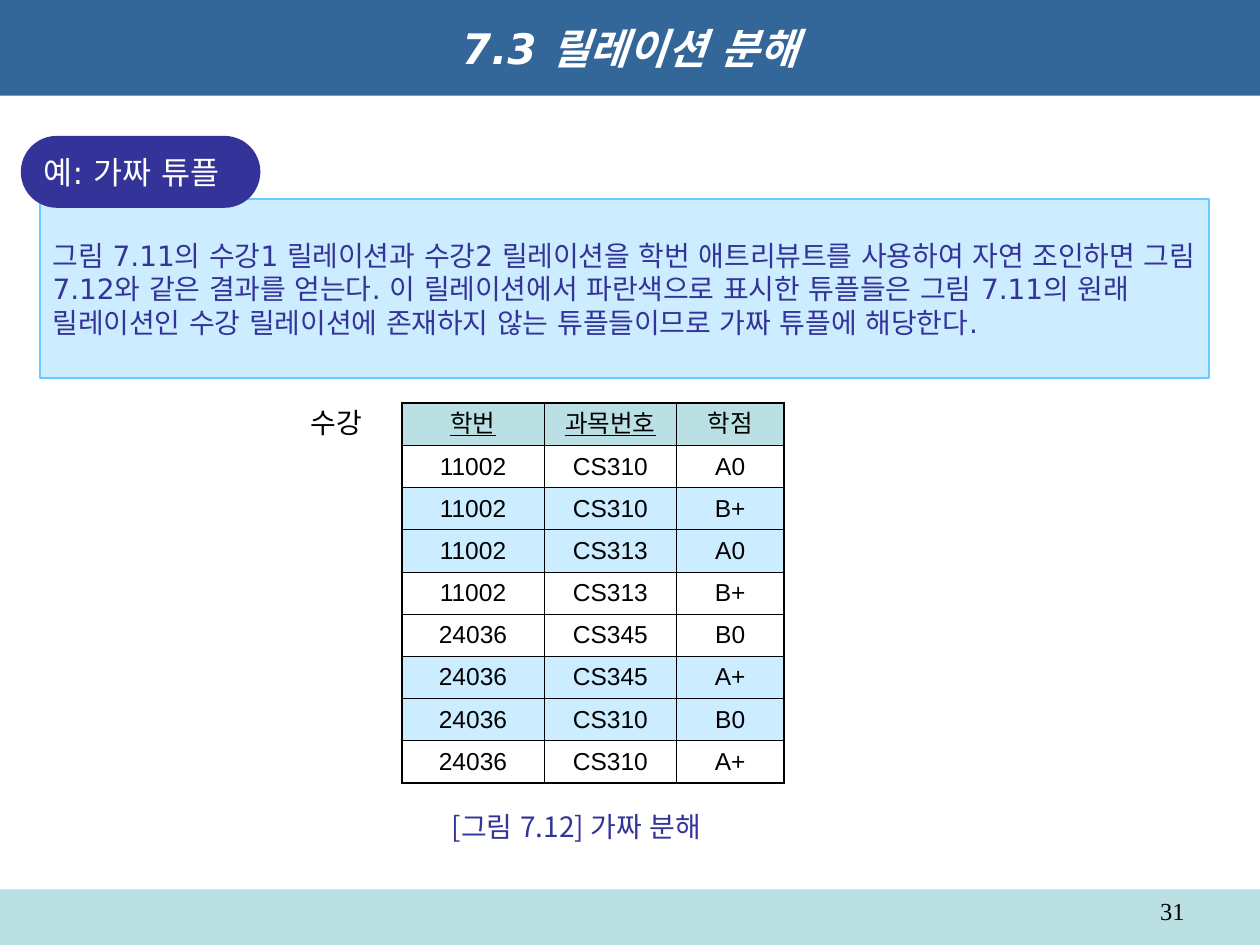
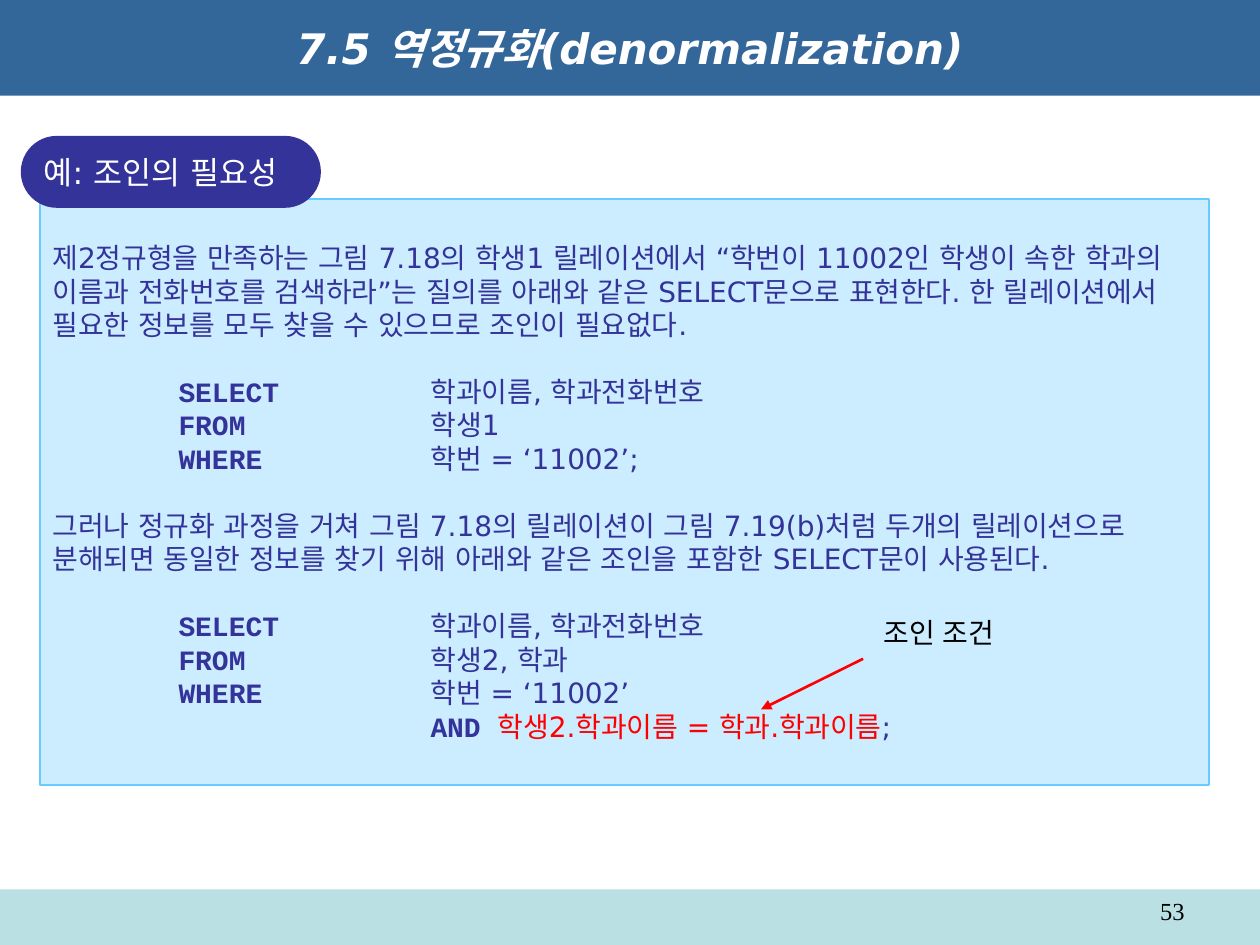
import pptx
import pptx.dml.color
import pptx.enum.lang
import pptx.enum.shapes
import pptx.enum.text
import pptx.oxml
import pptx.oxml.ns
import pptx.util
from lxml import etree
from pptx.util import Cm

COLORS = {
    "title band": "336699",
    "footer band": "BBE0E3",
    "panel": "CCECFF",
    "panel line": "66CCFF",
    "indigo": "333399",
    "white": "FFFFFF",
    "black": "000000",
    "red": "FF0000",
}
BODY_FONT = "DejaVu Sans"
KEYWORD = {"font": "Courier New", "bold": True}
JOIN = {"color": "red"}
QUERY_TABS = (2.54, 7.62)

SPURIOUS = {
    "title": "7.3 릴레이션 분해",
    "number": "31",
    "tag": ("예: 가짜 튜플", 4.83),
    "panel height": 3.61,
    "groups": [[
        "그림 7.11의 수강1 릴레이션과 수강2 릴레이션을 학번 애트리뷰트를 사용하여 자연 조인하면 "
        "그림 7.12와 같은 결과를 얻는다. 이 릴레이션에서 파란색으로 표시한 튜플들은 그림 7.11의 "
        "원래 릴레이션인 수강 릴레이션에 존재하지 않는 튜플들이므로 가짜 튜플에 해당한다."
    ]],
}
ENROLLMENT = [
    ("학번", "과목번호", "학점"),
    ("11002", "CS310", "A0"),
    ("11002", "CS310", "B+"),
    ("11002", "CS313", "A0"),
    ("11002", "CS313", "B+"),
    ("24036", "CS345", "B0"),
    ("24036", "CS345", "A+"),
    ("24036", "CS310", "B0"),
    ("24036", "CS310", "A+"),
]
KEY_COLUMNS = (0, 1)
SPURIOUS_ROWS = (2, 3, 6, 7)
COLUMN_WIDTHS = (2.87, 2.67, 2.16)
ROW_HEIGHT = 0.85


def clause(keyword, operand):
    return ["\t", (keyword, KEYWORD), "\t" + operand]


DENORMALIZATION = {
    "title": "7.5 역정규화(denormalization)",
    "number": "53",
    "tag": ("예: 조인의 필요성", 6.05),
    "panel height": 11.81,
    "groups": [
        ["제2정규형을 만족하는 그림 7.18의 학생1 릴레이션에서 “학번이 11002인 학생이 속한 "
         "학과의 이름과 전화번호를 검색하라”는 질의를 아래와 같은 SELECT문으로 표현한다. 한 "
         "릴레이션에서 필요한 정보를 모두 찾을 수 있으므로 조인이 필요없다."],
        [clause("SELECT", "학과이름, 학과전화번호"),
         clause("FROM", "학생1"),
         clause("WHERE", "학번 = ‘11002’;")],
        ["그러나 정규화 과정을 거쳐 그림 7.18의 릴레이션이 그림 7.19(b)처럼 두개의 릴레이션으로 "
         "분해되면 동일한 정보를 찾기 위해 아래와 같은 조인을 포함한 SELECT문이 사용된다."],
        [clause("SELECT", "학과이름, 학과전화번호"),
         clause("FROM", "학생2, 학과"),
         clause("WHERE", "학번 = ‘11002’"),
         ["\t\t", ("AND ", KEYWORD), ("학생2.학과이름 = 학과.학과이름", JOIN), ";"]],
    ],
}


def rgb(name):
    return pptx.dml.color.RGBColor.from_string(COLORS[name])


def add_child(parent, tag, **attributes):
    child = etree.SubElement(parent, pptx.oxml.ns.qn(tag))
    for name, value in attributes.items():
        child.set(name, str(value))
    return child


def add_span(para, text, font=BODY_FONT, size=16, color="indigo",
             bold=False, italic=False, underline=False):
    span = para.add_run()
    span.text = text
    span.font.name = font
    span.font.size = pptx.util.Pt(size)
    span.font.bold = bold
    span.font.italic = italic
    span.font.underline = underline
    span.font.color.rgb = rgb(color)
    span.font.language_id = pptx.enum.lang.MSO_LANGUAGE_ID.KOREAN
    add_child(span.font._element, "a:ea", typeface=font)


def write(frame, groups, align="LEFT", anchor="TOP", wrap=True, tabs=(), **style):
    frame.word_wrap = wrap
    frame.vertical_anchor = pptx.enum.text.MSO_ANCHOR[anchor]
    if isinstance(groups, str):
        groups = [[groups]]
    para = None
    for group in groups:
        for position, line in enumerate(group):
            first = para is None
            para = frame.paragraphs[0] if first else frame.add_paragraph()
            if tabs:
                tab_list = add_child(para._p.get_or_add_pPr(), "a:tabLst")
                for tab in tabs:
                    add_child(tab_list, "a:tab", pos=Cm(tab), algn="l")
            para.alignment = pptx.enum.text.PP_ALIGN[align]
            if position == 0 and not first:
                para.space_before = pptx.util.Pt(19)
            for part in [line] if isinstance(line, str) else line:
                text, changes = (part, {}) if isinstance(part, str) else part
                add_span(para, text, **{**style, **changes})


def add_box(page, kind, left, top, width, height, fill, line=None):
    shape_type = pptx.enum.shapes.MSO_SHAPE[kind]
    box = page.shapes.add_shape(shape_type, Cm(left), Cm(top), Cm(width), Cm(height))
    box.shadow.inherit = False
    box.fill.solid()
    box.fill.fore_color.rgb = rgb(fill)
    if line:
        box.line.color.rgb = rgb(line)
        box.line.width = pptx.util.Pt(1)
    else:
        box.line.fill.background()
    return box


def add_label(page, text, left, top, width, height=0.94, **style):
    box = page.shapes.add_textbox(Cm(left), Cm(top), Cm(width), Cm(height))
    write(box.text_frame, text, **style)
    if not box.text_frame.word_wrap:
        box.text_frame.auto_size = pptx.enum.text.MSO_AUTO_SIZE.SHAPE_TO_FIT_TEXT


def add_page(deck, content):
    page = deck.slides.add_slide(deck.slide_layouts.get_by_name("Title Only"))
    title = page.shapes.title
    title.left, title.top, title.width, title.height = Cm(0), Cm(0), Cm(25.4), Cm(1.93)
    title.fill.solid()
    title.fill.fore_color.rgb = rgb("title band")
    title.text_frame.auto_size = pptx.enum.text.MSO_AUTO_SIZE.NONE
    write(title.text_frame, content["title"], align="CENTER", anchor="MIDDLE",
          size=24, color="white", bold=True, italic=True)
    add_box(page, "RECTANGLE", 0, 17.93, 25.4, 1.12, "footer band")
    add_label(page, content["number"], 18.21, 17.93, 5.92, 0.74, align="RIGHT",
              font="Times New Roman", size=14, color="black")
    panel = add_box(page, "RECTANGLE", 0.81, 4.01, 23.57, content["panel height"],
                    "panel", "panel line")
    write(panel.text_frame, content["groups"], anchor="MIDDLE", tabs=QUERY_TABS)
    tag_text, tag_width = content["tag"]
    tag = add_box(page, "ROUNDED_RECTANGLE", 0.42, 2.74, tag_width, 1.45, "indigo")
    tag.adjustments[0] = 0.5
    write(tag.text_frame, tag_text, anchor="MIDDLE", wrap=False, size=18, color="white")
    return page


def set_borders(cell, outer_sides):
    properties = cell._tc.get_or_add_tcPr()
    for side in "LRTB":
        width = pptx.util.Pt(1.08 if side in outer_sides else 0.45)
        border = add_child(properties, "a:ln" + side, w=width)
        add_child(add_child(border, "a:solidFill"), "a:srgbClr", val=COLORS["black"])


def add_enrollment(page):
    row_count, column_count = len(ENROLLMENT), len(COLUMN_WIDTHS)
    frame = page.shapes.add_table(row_count, column_count, Cm(8.1), Cm(8.13),
                                  Cm(sum(COLUMN_WIDTHS)), Cm(ROW_HEIGHT * row_count))
    table = frame.table
    table.horz_banding = False
    for column, width in zip(table.columns, COLUMN_WIDTHS):
        column.width = Cm(width)
    for r, values in enumerate(ENROLLMENT):
        table.rows[r].height = Cm(ROW_HEIGHT)
        for c, value in enumerate(values):
            cell = table.cell(r, c)
            edges = {"T": r == 0, "B": r == row_count - 1,
                     "L": c == 0, "R": c == column_count - 1}
            set_borders(cell, [side for side, outer in edges.items() if outer])
            if r == 0 or r in SPURIOUS_ROWS:
                cell.fill.solid()
                cell.fill.fore_color.rgb = rgb("panel" if r else "footer band")
            else:
                cell.fill.background()
            write(cell.text_frame, value, align="CENTER", font="Arial", size=14,
                  color="black", underline=r == 0 and c in KEY_COLUMNS)
            cell.vertical_anchor = pptx.enum.text.MSO_ANCHOR.MIDDLE


def add_arrow(page, start, end):
    arrow = page.shapes.add_connector(pptx.enum.shapes.MSO_CONNECTOR.STRAIGHT,
                                      *map(Cm, start + end))
    arrow.line.color.rgb = rgb("red")
    arrow.line.width = pptx.util.Pt(1.5)
    add_child(arrow.line._get_or_add_ln(), "a:tailEnd", type="triangle")
    add_child(arrow._element.spPr, "a:effectLst")


def main():
    deck = pptx.Presentation()
    deck.slide_width, deck.slide_height = Cm(25.4), Cm(19.05)

    page = add_page(deck, SPURIOUS)
    add_enrollment(page)
    add_label(page, "수강", 6.02, 8.05, 1.6, wrap=False,
              font="Noto Sans CJK JP", color="black")
    add_label(page, "[그림 7.12] 가짜 분해", 8.86, 16.18, 6.15, anchor="MIDDLE",
              wrap=False, font="Noto Sans CJK KR")

    page = add_page(deck, DENORMALIZATION)
    add_label(page, "조인 조건", 17.45, 12.29, 2.84, align="RIGHT", wrap=False,
              font="Noto Sans CJK KR", color="black")
    add_arrow(page, (17.4, 13.28), (15.34, 14.3))

    deck.save("out.pptx")


if __name__ == "__main__":
    main()
